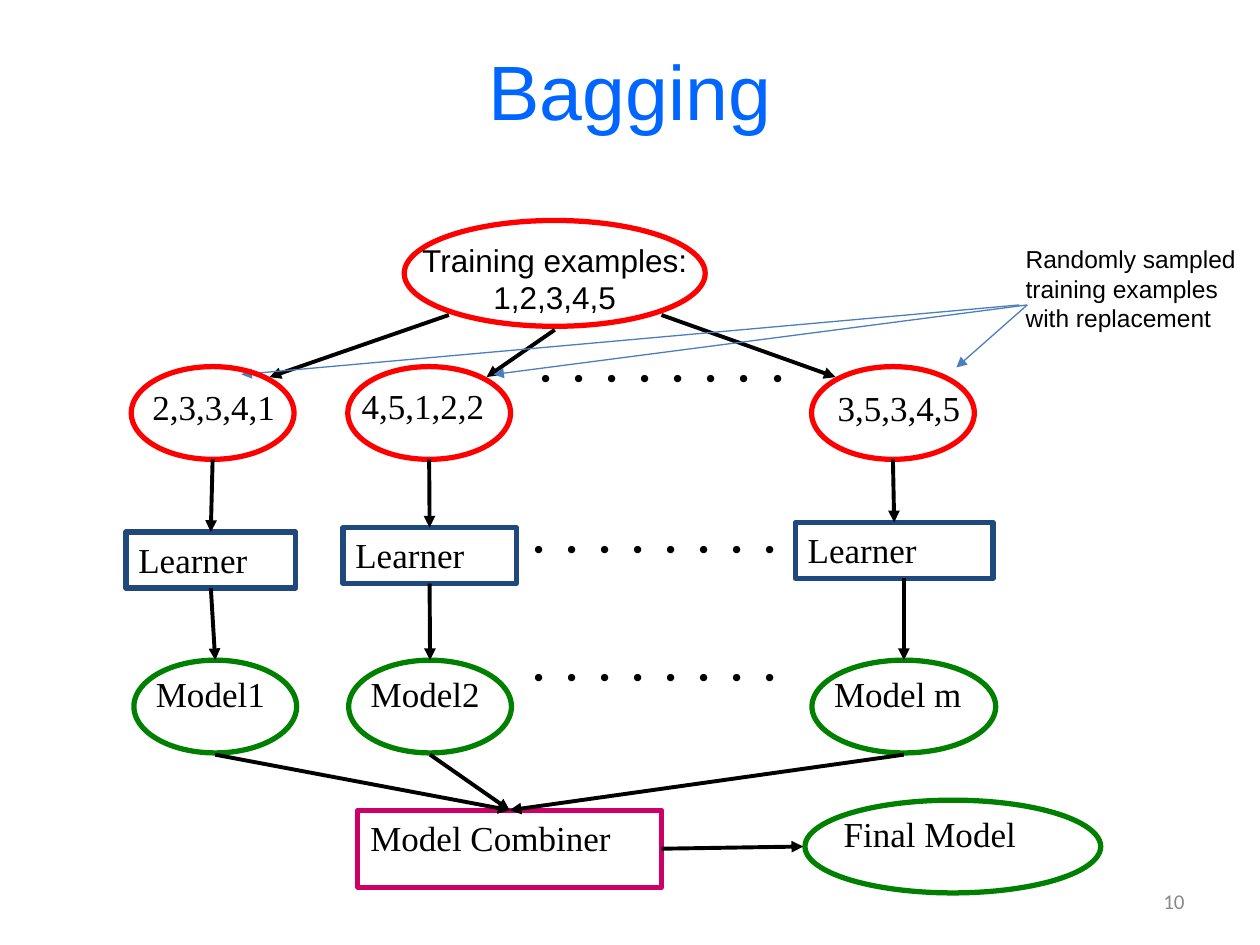
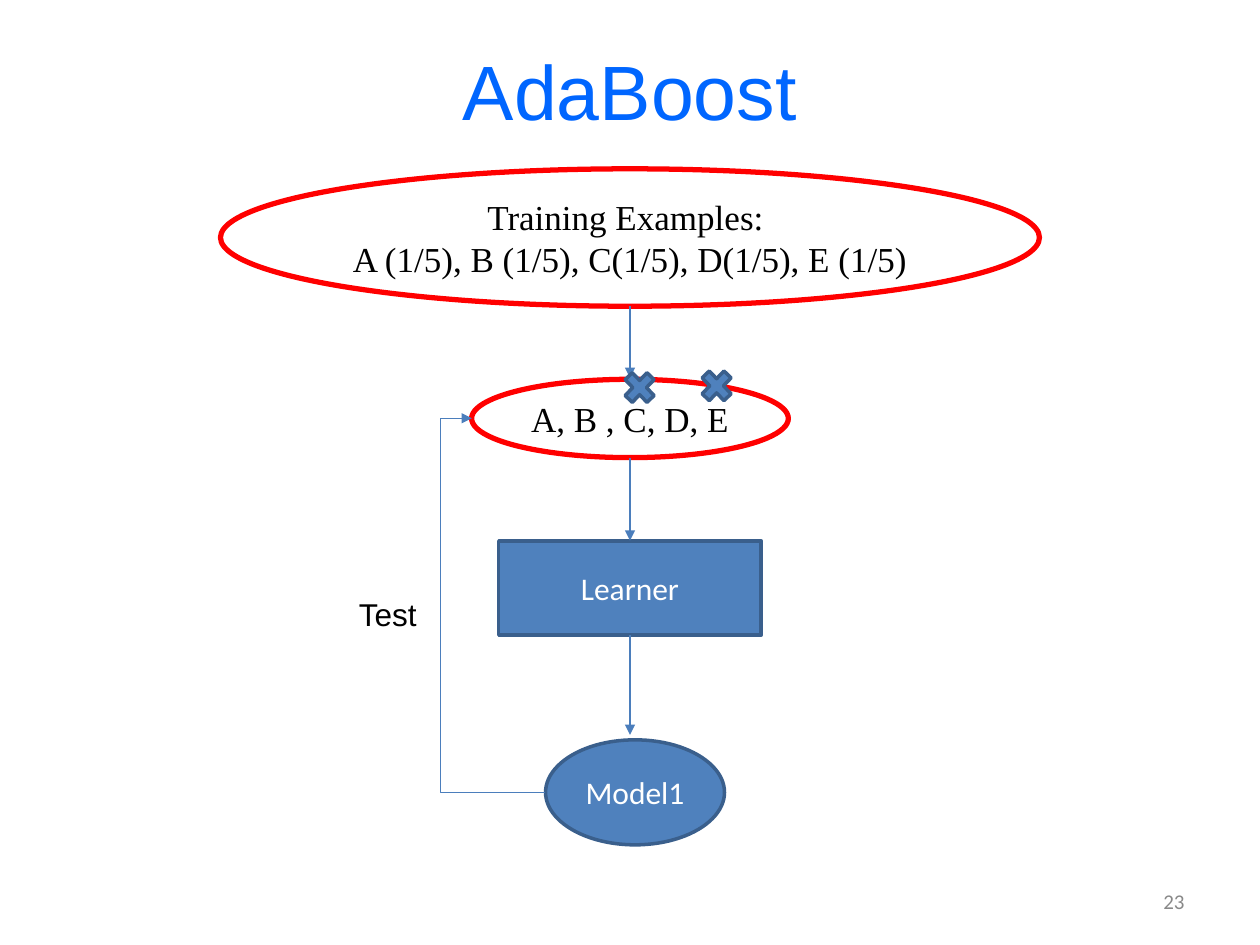
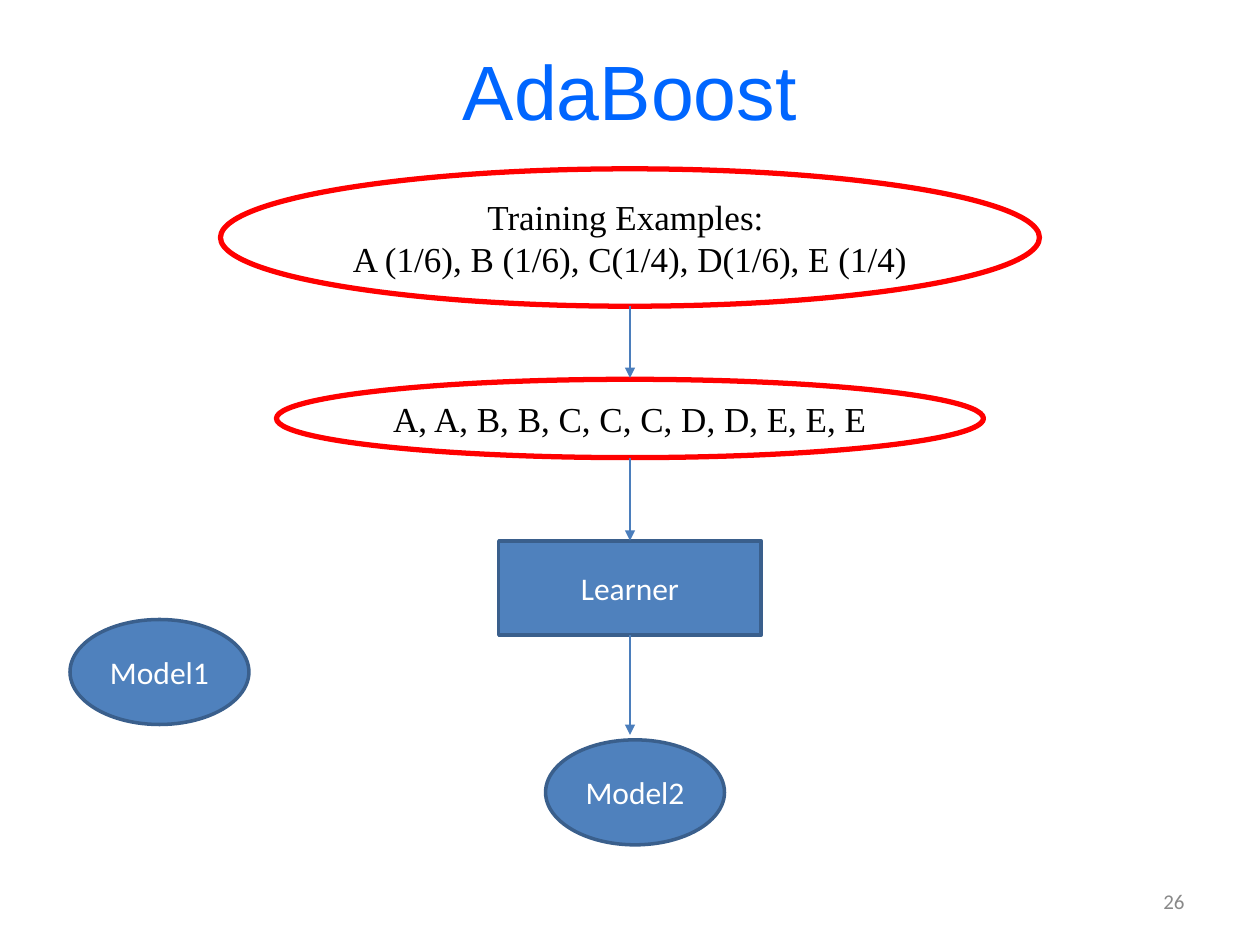
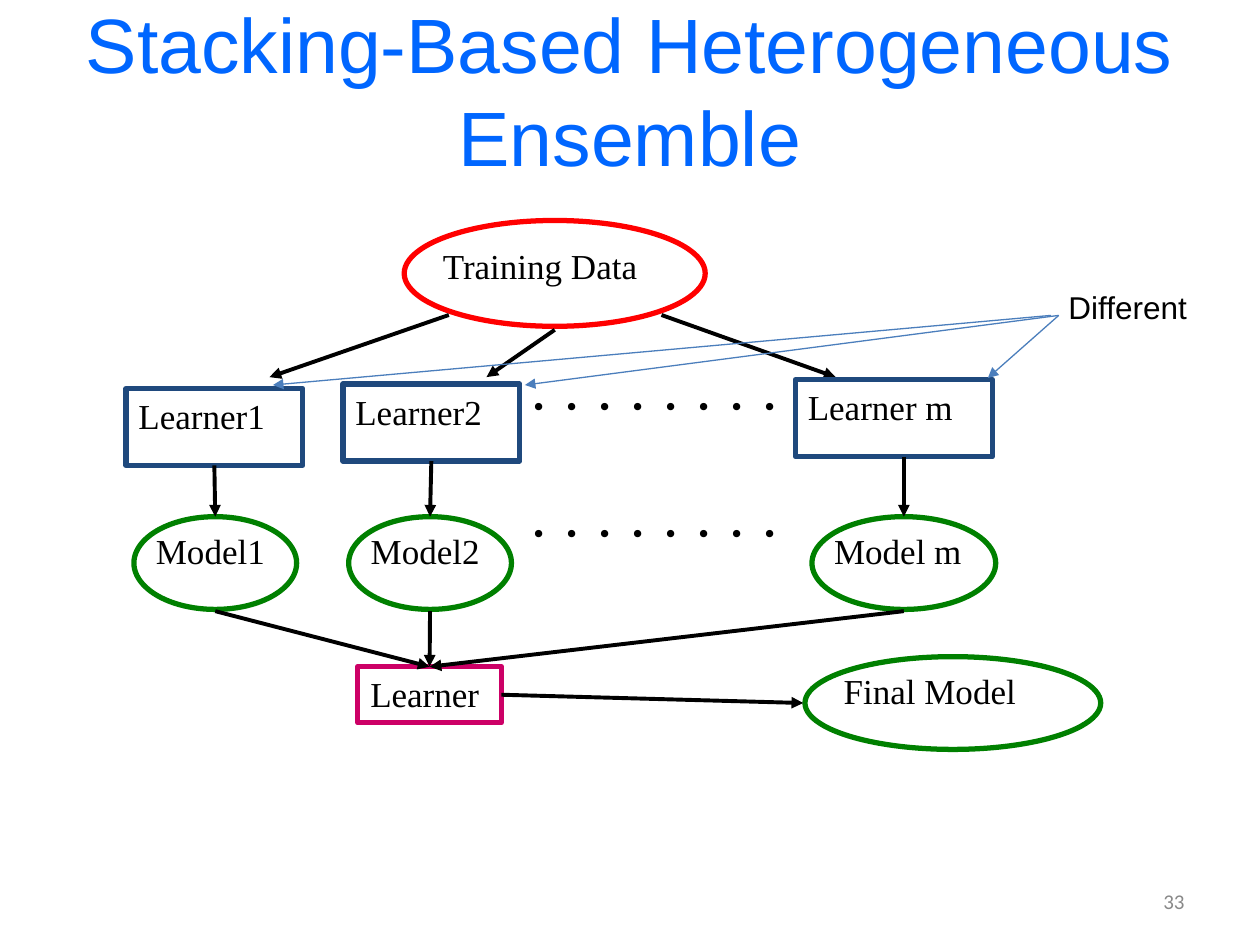
from lxml import etree
from pptx import Presentation
from pptx.dml.color import RGBColor
from pptx.enum.shapes import MSO_CONNECTOR, MSO_SHAPE
from pptx.enum.text import MSO_ANCHOR, MSO_AUTO_SIZE, PP_ALIGN
from pptx.oxml.ns import qn
from pptx.util import Pt

STRAIGHT, ELBOW = MSO_CONNECTOR.STRAIGHT, MSO_CONNECTOR.ELBOW
OVAL, RECT, CROSS = MSO_SHAPE.OVAL, MSO_SHAPE.RECTANGLE, MSO_SHAPE.MATH_MULTIPLY
LEFT, CENTER, RIGHT = PP_ALIGN.LEFT, PP_ALIGN.CENTER, PP_ALIGN.RIGHT
TOP, MIDDLE = MSO_ANCHOR.TOP, MSO_ANCHOR.MIDDLE
GROW, FIXED = MSO_AUTO_SIZE.SHAPE_TO_FIT_TEXT, MSO_AUTO_SIZE.NONE

TITLE_BLUE = RGBColor(0x00, 0x66, 0xFF)
GREY = RGBColor(0x89, 0x89, 0x89)
BLACK = RGBColor(0, 0, 0)
WHITE = RGBColor(0xFF, 0xFF, 0xFF)
RED = RGBColor(0xFF, 0, 0)
GREEN = RGBColor(0, 0x80, 0)
NAVY = RGBColor(0x1F, 0x49, 0x7D)
PINK = RGBColor(0xCC, 0x00, 0x66)
BLUE = RGBColor(0x4F, 0x81, 0xBD)
DARK_BLUE = RGBColor(0x3A, 0x5F, 0x8C)
ARROW_BLUE = RGBColor(0x4B, 0x7E, 0xBC)

# Text formats: frame settings, font settings, alignment and colour
LOOSE = {"word_wrap": False, "auto_size": GROW, "vertical_anchor": TOP}
LOOSE_MIDDLE = {**LOOSE, "vertical_anchor": MIDDLE}
WRAPPED = {**LOOSE, "word_wrap": True}
SOLID = {"word_wrap": True, "auto_size": FIXED, "vertical_anchor": MIDDLE}
SERIF = {"name": "Times New Roman", "size": Pt(20)}
SANS = {"name": "Arial", "size": Pt(18)}
LABEL = (LOOSE, SERIF, LEFT, BLACK)
CENTRED = (LOOSE_MIDDLE, SERIF, CENTER, BLACK)
DOTTED = (LOOSE, {**SERIF, "size": Pt(32)}, LEFT, BLACK)
NOTE = (LOOSE, SANS, LEFT, BLACK)
SMALL_NOTE = (LOOSE, {**SANS, "size": Pt(14)}, LEFT, BLACK)
CENTRED_NOTE = (WRAPPED, SANS, CENTER, BLACK)
BLOCK = (SOLID, {"name": "Calibri", "size": Pt(18)}, CENTER, WHITE)
NUMBER = (SOLID, {"name": "Calibri", "size": Pt(12)}, RIGHT, GREY)
DOTS = "⋅ ⋅ ⋅ ⋅ ⋅ ⋅ ⋅ ⋅"


def add_item(s, kind, box, text="", style=LABEL, line=None, fill=None):
    """Add a preset shape, or a text box when kind is None."""
    box = [Pt(v) for v in box]
    if kind is None:
        sp = s.shapes.add_textbox(*box)
    else:
        sp = s.shapes.add_shape(kind, *box)
        sp.shadow.inherit = False
        sp.line.color.rgb = line
        sp.line.width = Pt(2 if fill else 3)
        if fill:
            sp.fill.solid()
            sp.fill.fore_color.rgb = fill
        else:
            sp.fill.background()
    if text:
        frame, font, align, color = style
        tf = sp.text_frame
        for key, value in frame.items():
            setattr(tf, key, value)
        for i, words in enumerate(text.split("\n")):
            p = tf.add_paragraph() if i else tf.paragraphs[0]
            p.alignment = align
            r = p.add_run()
            r.text = words
            r.font.color.rgb = color
            for key, value in font.items():
                setattr(r.font, key, value)
    return sp


def add_arrow(s, start, end, color=BLACK, width=2.25, kind=STRAIGHT,
              begin_at=None, end_at=None):
    """Add an arrow; begin_at and end_at are (rectangle, side) pairs."""
    cx = s.shapes.add_connector(kind, *[Pt(v) for v in (*start, *end)])
    cx.line.color.rgb = color
    cx.line.width = Pt(width)
    ln = cx._element.spPr.find(qn("a:ln"))
    etree.SubElement(ln, qn("a:tailEnd"), type="triangle")
    etree.SubElement(cx._element.spPr, qn("a:effectLst"))
    if begin_at:
        cx.begin_connect(*begin_at)
    if end_at:
        cx.end_connect(*end_at)
    return cx


prs = Presentation()
prs.slide_width, prs.slide_height = Pt(720), Pt(540)

# Titles and slide numbers
slides = []
for title, number in (("Bagging", "10"), ("AdaBoost", "23"), ("AdaBoost", "26"),
                      ("Stacking-Based Heterogeneous Ensemble", "33")):
    s = prs.slides.add_slide(prs.slide_layouts[5])
    sp = s.shapes.title
    sp.left, sp.top, sp.width, sp.height = Pt(36), Pt(6), Pt(648), Pt(90)
    tf = sp.text_frame
    tf.text = title
    tf.auto_size, tf.vertical_anchor = FIXED, MIDDLE
    p = tf.paragraphs[0]
    p.alignment = CENTER
    p.font.name, p.font.size = "Arial", Pt(44)
    p.font.color.rgb = TITLE_BLUE
    add_item(s, None, (516, 500.5, 168, 28.75), number, NUMBER)
    slides.append(s)
bagging, boost_1, boost_2, stacking = slides

# Parts that the Bagging and Stacking diagrams have in common
MODELS = (("Model1", 76.5, 93), ("Model2", 199.25, 93), ("Model m", 464, 105))
ENSEMBLES = (
    {"slide": bagging, "model_top": 377.25, "dots_top": 290,
     "training": ("Training examples:\n1,2,3,4,5", (223, 134, 188, 51), CENTRED_NOTE),
     "learners": (("Learner", 72, 304, 97), ("Learner", 196, 301.5, 99),
                  ("Learner", 454.5, 298.5, 113)), "learner_height": 32,
     "combiner": ("Model Combiner", (204.5, 463, 173.5, 44)),
     "shift": (0, 0),
     "note": ("Randomly sampled\ntraining examples\nwith replacement",
              (579, 136, 135.5, 58.5), SMALL_NOTE)},
    {"slide": stacking, "model_top": 295.25, "dots_top": 208,
     "training": ("Training Data", (246, 136, 142, 40), LABEL),
     "learners": (("Learner1", 72, 222, 101), ("Learner2", 196, 219.5, 101),
                  ("Learner m", 454.5, 217, 112.5)), "learner_height": 44,
     "combiner": ("Learner", (204.5, 381, 82, 32)),
     "shift": (18, 6),
     "note": ("Different", (603.5, 161.25, 83, 29), NOTE)},
)
learner_boxes = []
for e in ENSEMBLES:
    s, model_top = e["slide"], e["model_top"]

    # Training set and its three branches
    add_item(s, OVAL, (231, 126, 172, 60.5), line=RED)
    add_item(s, None, e["training"][1], e["training"][0], e["training"][2])
    for start, end in (((256.5, 180), (154, 215.5)), ((317, 188.5), (278, 215.5)),
                       ((378, 180), (477.5, 215.5))):
        add_arrow(s, start, end)

    # Combiner
    text, box = e["combiner"]
    combiner = add_item(s, RECT, box, text, line=PINK)

    # Learners, each leading to a model and on to the combiner
    height = e["learner_height"]
    for (name, x, y, w), (model, left, width) in zip(e["learners"], MODELS):
        learner = add_item(s, RECT, (x, y, w, height), name, line=NAVY)
        learner_boxes.append(learner)
        add_item(s, None, (left + 5.5, model_top + 3.5, width - 7, 40), model)
        add_item(s, OVAL, (left, model_top, width, 53), line=GREEN)
        middle = left + width / 2
        centred = abs(x + w / 2 - middle) < 4
        add_arrow(s, (middle, y + height), (middle, model_top),
                  begin_at=(learner, 2) if centred else None)
        add_arrow(s, (middle, model_top + 54), (middle, box[1]), end_at=(combiner, 0))
    for top in (e["dots_top"], model_top - 14.5):
        add_item(s, None, (295.25, top, 160, 59), DOTS, DOTTED)

    # Final model
    final_top = model_top + 80
    add_item(s, None, (475, final_top + 3.5, 130, 40), "Final Model")
    add_item(s, OVAL, (460, final_top, 169, 53), line=GREEN)
    add_arrow(s, (box[0] + box[2], final_top + 26.5), (459, final_top + 26.5),
              begin_at=(combiner, 3))

    # Note with its pointers
    dx, dy = e["shift"]
    for start_x, end_x, end_y in ((582.5, 138, 214), (587, 282, 214), (587, 546.5, 210)):
        add_arrow(s, (start_x + dx, 174.25 + dy), (end_x + dx, end_y + dy),
                  ARROW_BLUE, 0.75)
    add_item(s, None, e["note"][1], e["note"][0], e["note"][2])

# Bagging: bootstrap samples above the learners
SAMPLES = (("2,3,3,4,1", 75, 80, 216.75), ("4,5,1,2,2", 198.75, 199.5, 216),
           ("3,5,3,4,5", 463.75, 471.5, 217.5))
for (text, left, text_left, text_top), learner in zip(SAMPLES, learner_boxes):
    add_item(bagging, None, (text_left, text_top, 85, 32), text)
    add_item(bagging, OVAL, (left, 209.5, 93, 53), line=RED)
    middle = left + 46.5
    add_arrow(bagging, (middle, 262.5), (middle, 300), end_at=(learner, 0))
add_item(bagging, None, (299.5, 192.25, 160, 59), DOTS, DOTTED)

# AdaBoost: weighted examples, sample, learner and model
ROUNDS = (
    (boost_1, "A (1/5), B (1/5), C(1/5), D(1/5), E (1/5)", "A, B , C, D, E", 181, "Model1"),
    (boost_2, "A (1/6), B (1/6), C(1/4), D(1/6), E (1/4)",
     "A, A, B, B, C, C, C, D, D, E, E, E", 404, "Model2"),
)
for s, weights, sample, width, model in ROUNDS:
    add_item(s, OVAL, (126, 96.5, 468, 78.5), "Training Examples: \n" + weights,
             CENTRED, RED)
    add_item(s, OVAL, (360 - width / 2, 216.75, width, 44.75), sample, CENTRED, RED)
    learner = add_item(s, RECT, (285, 309, 150, 54), "Learner", BLOCK, DARK_BLUE, BLUE)
    add_item(s, OVAL, (311.75, 422.75, 102.25, 60), model, BLOCK, DARK_BLUE, BLUE)
    add_arrow(s, (360, 175), (360, 216), ARROW_BLUE, 0.75)
    add_arrow(s, (360, 261.5), (360, 309), ARROW_BLUE, 0.75, end_at=(learner, 0))
    add_arrow(s, (360, 363), (360, 420), ARROW_BLUE, 0.75, begin_at=(learner, 2))

# First round: test loop and misclassified examples
loop = add_arrow(boost_1, (311.75, 452.75), (269.75, 239), ARROW_BLUE, 0.75, ELBOW)
guides = loop._element.spPr.find(qn("a:prstGeom")).find(qn("a:avLst"))
etree.SubElement(guides, qn("a:gd"), name="adj1", fmla="val 142600")
add_item(boost_1, None, (198, 336.25, 47.5, 29), "Test", NOTE)
for left, top in ((353.5, 209), (397.5, 208)):
    add_item(boost_1, CROSS, (left, top, 24, 25), line=DARK_BLUE, fill=BLUE)

# Second round: model kept from the first
add_item(boost_2, OVAL, (40, 354, 102.25, 60), "Model1", BLOCK, DARK_BLUE, BLUE)

prs.save("out.pptx")
